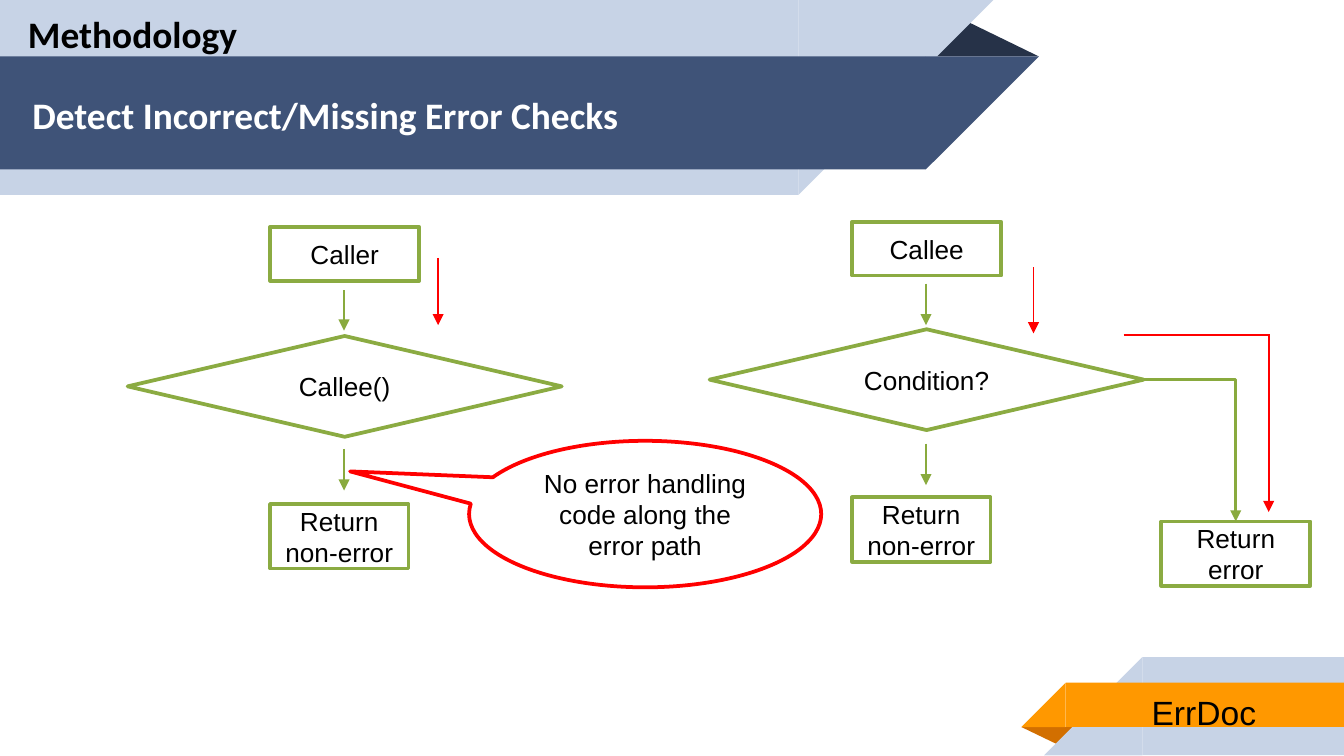
"""Build the ErrDoc slide on detecting incorrect or missing error checks."""
from lxml.etree import SubElement
from pptx import Presentation
from pptx.dml.color import RGBColor
from pptx.enum.shapes import MSO_CONNECTOR, MSO_SHAPE
from pptx.enum.text import MSO_ANCHOR, MSO_AUTO_SIZE, PP_ALIGN
from pptx.oxml.ns import qn
from pptx.util import Inches, Pt

BLACK = RGBColor(0x00, 0x00, 0x00)
WHITE = RGBColor(0xFF, 0xFF, 0xFF)
PALE = RGBColor(0xC7, 0xD3, 0xE6)
NAVY = RGBColor(0x3F, 0x53, 0x78)
NAVY_FOLD = RGBColor(0x26, 0x32, 0x48)
ORANGE = RGBColor(0xFF, 0x98, 0x00)
ORANGE_FOLD = RGBColor(0xD2, 0x6F, 0x00)
BOX_GREEN = RGBColor(0x8B, 0xAB, 0x42)
ARROW_GREEN = RGBColor(0x89, 0xAA, 0x3E)
RED = RGBColor(0xFF, 0x00, 0x00)

HEADER_BANDS = [(5.94, 0, 1.45, PALE), (6.89, 0.42, 0.84, NAVY)]
FOOTER_BANDS = [(8.5, 4.89, 0.73, 1.5, PALE), (7.93, 5.08, 0.33, 2.08, ORANGE)]
FOLDS = {
    "header": ((6.88, 0.14, 0.85, 0.28), 0, NAVY_FOLD),
    "footer": ((7.6, 5.41, 0.43, 0.14), 180, ORANGE_FOLD),
}

RECT, DIAMOND = MSO_SHAPE.RECTANGLE, MSO_SHAPE.DIAMOND
NODES = {
    "caller": ("Caller", RECT, (2.01, 1.69, 1.11, 0.4)),
    "caller return": ("Return non-error", RECT, (2.01, 3.75, 1.03, 0.48)),
    "call": ("Callee()", DIAMOND, (0.95, 2.5, 3.23, 0.75)),
    "callee": ("Callee", RECT, (6.34, 1.65, 1.11, 0.4)),
    "callee return": ("Return non-error", RECT, (6.34, 3.7, 1.03, 0.48)),
    "error return": ("Return error", RECT, (8.64, 3.88, 1.11, 0.48)),
    "condition": ("Condition?", DIAMOND, (5.28, 2.45, 3.23, 0.75)),
}
FLOW_ARROWS = [(2.56, 2.16, 2.46), (2.56, 3.34, 3.65),
               (6.89, 2.11, 2.42), (6.89, 3.3, 3.61)]
ERROR_PATH = [((3.26, 1.92), (3.26, 2.42), True),
              ((7.69, 1.99), (7.69, 2.48), True),
              ((8.36, 2.49), (9.45, 2.49), False),
              ((9.44, 2.49), (9.44, 3.81), True)]
CALLOUT = ("No error handling code along the error path",
           MSO_SHAPE.OVAL_CALLOUT, (3.49, 3.28, 2.62, 1.09))

BODY = {"size": Pt(14), "name": "Arial", "bold": False}
HEADING = {"size": Pt(20), "name": "Calibri", "bold": True}
LABEL = {"size": Pt(18), "name": "Arial", "bold": False}
FRAME = {"word_wrap": True, "auto_size": MSO_AUTO_SIZE.NONE}
INSETS = {"margin_" + side: Inches(0.1) for side in ("left", "top", "right", "bottom")}


def apply(target, values):
    for key, value in values.items():
        setattr(target, key, value)


def write(holder, text, font, color, align, frame):
    apply(holder.text_frame, frame)
    holder.text_frame.text = text
    paragraph = holder.text_frame.paragraphs[0]
    paragraph.alignment = align
    apply(paragraph.font, font)
    paragraph.font.color.rgb = color


def add_filled(slide, kind, box, fill, outline=None):
    shape = slide.shapes.add_shape(kind, *map(Inches, box))
    shape.shadow.inherit = False
    shape.fill.solid()
    shape.fill.fore_color.rgb = fill
    if outline is None:
        shape.line.fill.background()
    else:
        shape.line.color.rgb = outline
        shape.line.width = Pt(2)
    return shape


def add_fold(slide, box, rotation, color):
    fold = add_filled(slide, MSO_SHAPE.ISOSCELES_TRIANGLE, box, color)
    fold.adjustments[0] = 0.324
    fold.rotation = rotation


def add_band(slide, bar, tip, color, rotation):
    add_filled(slide, RECT, bar, color)
    corner = add_filled(slide, MSO_SHAPE.RIGHT_TRIANGLE, tip, color)
    corner.rotation = rotation
    corner.element.spPr.find(qn("a:xfrm")).set("flipH", "1")


def add_node(slide, text, kind, box, outline):
    node = add_filled(slide, kind, box, WHITE, outline)
    write(node, text, BODY, BLACK, PP_ALIGN.CENTER,
          {**FRAME, "vertical_anchor": MSO_ANCHOR.MIDDLE})
    return node


def add_link(slide, start, end, color, width, arrow=True, kind=MSO_CONNECTOR.STRAIGHT):
    link = slide.shapes.add_connector(kind, *map(Inches, (*start, *end)))
    link.line.color.rgb = color
    link.line.width = Pt(width)
    if arrow:
        SubElement(link.line._get_or_add_ln(), qn("a:tailEnd"), type="triangle")
    SubElement(link.element.spPr, qn("a:effectLst"))
    return link


def add_label(slide, text, box, font, frame):
    label = slide.shapes.add_textbox(*map(Inches, box))
    write(label, text, font, BLACK, PP_ALIGN.LEFT, frame)


def main():
    deck = Presentation()
    deck.slide_width = Inches(10)
    deck.slide_height = deck.slide_width * 9 // 16
    slide = deck.slides.add_slide(deck.slide_layouts[5])

    add_fold(slide, *FOLDS["header"])
    for split, top, height, color in HEADER_BANDS:
        add_band(slide, (0, top, split, height), (split, top, height, height), color, 180)
    add_fold(slide, *FOLDS["footer"])
    for split, top, height, width, color in FOOTER_BANDS:
        add_band(slide, (split, top, width, height),
                 (split - height, top, height, height), color, 0)

    nodes = {key: add_node(slide, *node, BOX_GREEN) for key, node in NODES.items()}
    for x, top, bottom in FLOW_ARROWS:
        add_link(slide, (x, top), (x, bottom), ARROW_GREEN, 1.5)
    branch = add_link(slide, (8.51, 2.83), (9.2, 3.88), ARROW_GREEN, 1.5,
                      kind=MSO_CONNECTOR.ELBOW)
    branch.element.spPr.find(qn("a:prstGeom")).set("prst", "bentConnector2")
    branch.begin_connect(nodes["condition"], 3)
    branch.end_connect(nodes["error return"], 0)
    for start, end, arrow in ERROR_PATH:
        add_link(slide, start, end, RED, 1, arrow)

    callout = add_node(slide, *CALLOUT, RED)
    callout.adjustments[0], callout.adjustments[1] = -0.838, -0.291

    add_label(slide, "ErrDoc", (8.47, 5.1, 0.99, 0.4), LABEL,
              {"word_wrap": False, "auto_size": MSO_AUTO_SIZE.SHAPE_TO_FIT_TEXT})
    title = slide.shapes.title
    apply(title, {"left": Inches(0.14), "top": Inches(0.43),
                  "width": Inches(6.98), "height": Inches(0.84)})
    write(title, "Detect Incorrect/Missing Error Checks", HEADING, WHITE, PP_ALIGN.LEFT,
          {**FRAME, **INSETS, "vertical_anchor": MSO_ANCHOR.MIDDLE})
    slide.shapes.element.append(title.element)
    add_label(slide, "Methodology", (0.11, -0.02, 6.01, 0.84), HEADING,
              {**FRAME, **INSETS})

    deck.save("out.pptx")


if __name__ == "__main__":
    main()
